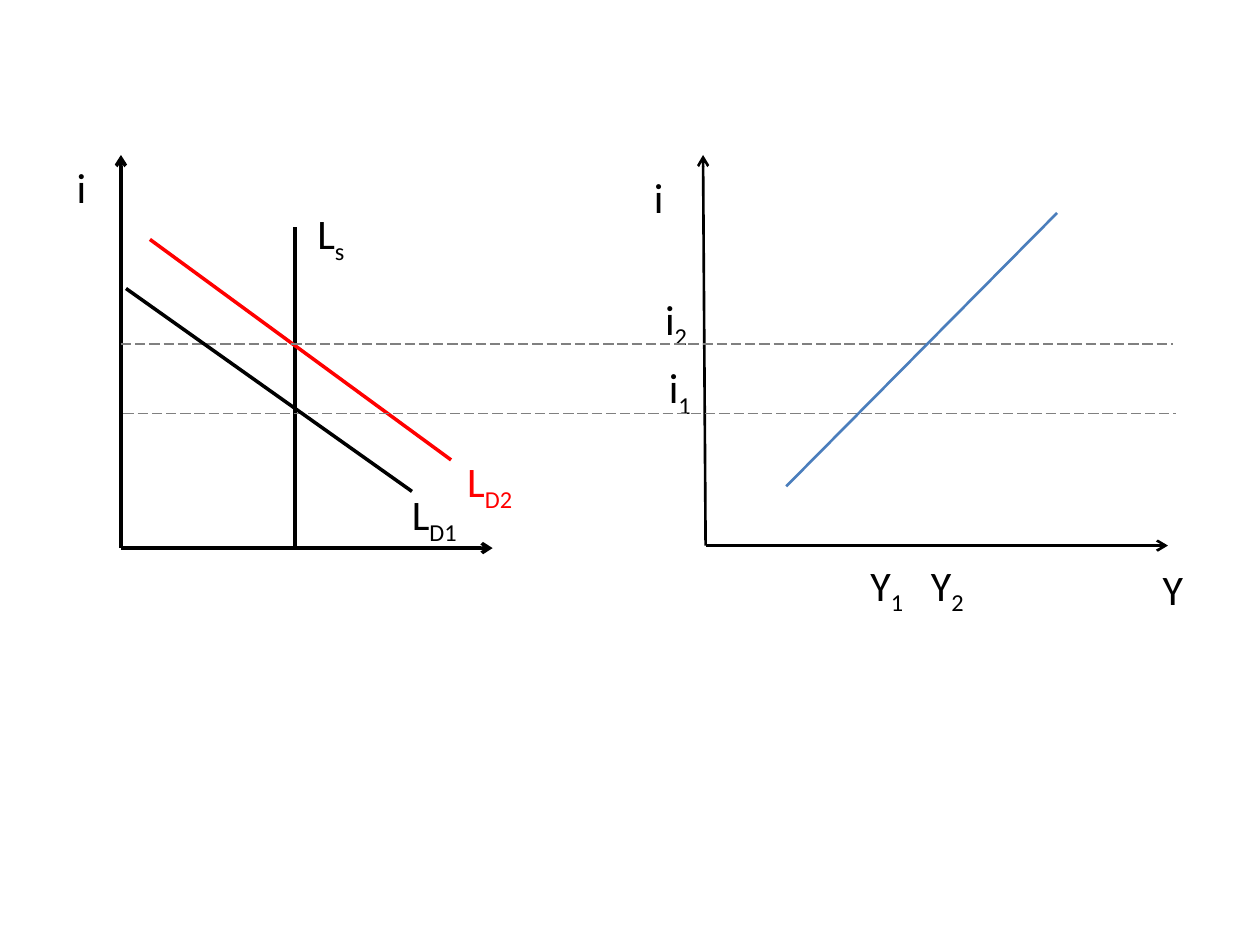
"""Build a slide linking money market equilibrium to the LM curve."""
from dataclasses import dataclass

from lxml.etree import SubElement
from pptx import Presentation
from pptx.dml.color import RGBColor
from pptx.enum.dml import MSO_LINE
from pptx.enum.shapes import MSO_CONNECTOR
from pptx.enum.text import MSO_AUTO_SIZE
from pptx.oxml.ns import qn
from pptx.util import Inches, Pt


@dataclass(frozen=True)
class Theme:
    font: str = "Calibri"
    size: int = 24
    ink: str = "000000"
    shifted: str = "FF0000"
    curve: str = "4B7EBC"
    guide: str = "808080"
    thin: float = 0.75
    medium: float = 1.5
    thick: float = 2


THEME = Theme()
COLUMNS, ROWS = 100, 75
CELL = Inches(0.1)
LABEL_HEIGHT = 5


def cells(count):
    return round(count * CELL)


def add_line(page, start, end, color=THEME.ink, width=THEME.thick, dashed=False, arrow=False):
    connector = page.shapes.add_connector(
        MSO_CONNECTOR.STRAIGHT, *map(cells, (*start, *end)))
    connector.line.color.rgb = RGBColor.from_string(color)
    connector.line.width = Pt(width)
    if dashed:
        connector.line.dash_style = MSO_LINE.LONG_DASH
    properties = connector._element.spPr
    if arrow:
        SubElement(properties.find(qn("a:ln")), qn("a:tailEnd"), type="arrow")
    SubElement(properties, qn("a:effectLst"))


def add_axes(page, origin, top, right, width):
    for end in (top, right):
        add_line(page, origin, end, width=width, arrow=True)


def add_label(page, left, top, width, symbol, subscript="", color=THEME.ink):
    box = page.shapes.add_textbox(*map(cells, (left, top, width, LABEL_HEIGHT)))
    frame = box.text_frame
    frame.word_wrap = False
    frame.auto_size = MSO_AUTO_SIZE.SHAPE_TO_FIT_TEXT
    paragraph = frame.paragraphs[0]
    paragraph.font.name = THEME.font
    paragraph.font.size = Pt(THEME.size)
    paragraph.font.color.rgb = RGBColor.from_string(color)
    paragraph.add_run().text = symbol
    if subscript:
        span = paragraph.add_run()
        span.text = subscript
        span.font._element.set("baseline", "-25000")


def draw_lm_panel(page):
    add_axes(page, (56, 43.3), (55.8, 12.3), (92.7, 43.3), THEME.medium)
    add_label(page, 91.3, 44.2, 3.7, "Y")
    add_label(page, 50.9, 13.1, 2.8, "i")
    for left, subscript in ((68.1, "1"), (72.9, "2")):
        add_label(page, left, 43.9, 4.8, "Y", subscript)
    for left, top, subscript in ((51.8, 22.8, "2"), (52.1, 28.2, "1")):
        add_label(page, left, top, 3.9, "i", subscript)


def draw_money_market(page):
    add_axes(page, (9.6, 43.5), (9.6, 12.3), (39.1, 43.5), THEME.thick)
    add_label(page, 5.1, 12.3, 2.8, "i")
    add_line(page, (23.4, 43.5), (23.4, 18))
    add_label(page, 24.2, 16, 4.3, "L", "s")
    add_line(page, (35.8, 36.5), (11.9, 19), THEME.shifted)
    add_label(page, 36.1, 35.7, 6, "L", "D2", THEME.shifted)


def draw_rate_guides(page):
    for left, row in ((9.6, 27.3), (9.8, 32.8)):
        add_line(page, (left, row), (left + 83.5, row), THEME.guide, THEME.thin, dashed=True)


def main():
    deck = Presentation()
    deck.slide_width, deck.slide_height = cells(COLUMNS), cells(ROWS)
    page = deck.slides.add_slide(deck.slide_layouts[6])
    draw_lm_panel(page)
    draw_money_market(page)
    draw_rate_guides(page)
    add_line(page, (32.7, 39), (10, 22.9))
    add_label(page, 31.7, 38.3, 6, "L", "D1")
    add_line(page, (62.4, 38.6), (83.9, 16.9), THEME.curve, THEME.medium)
    deck.save("out.pptx")


if __name__ == "__main__":
    main()
